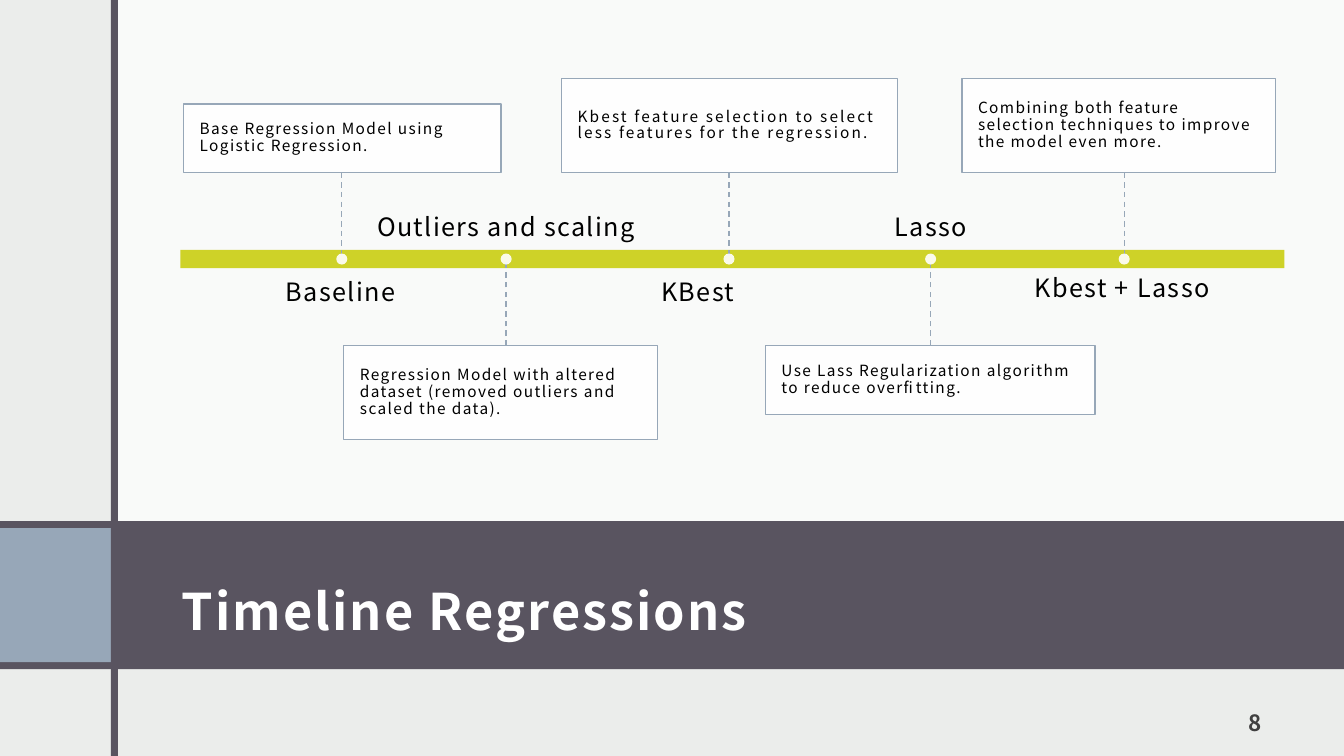
import pptx
import pptx.util
import pptx.dml.color
import pptx.enum.dml
import pptx.enum.shapes
import pptx.enum.text
import pptx.oxml
import pptx.oxml.ns

FONT = "Noto Sans CJK JP"
WHITE, BLACK, PURPLE, BLUE = "FFFFFF", "000000", "595460", "97A7B8"
RECT = pptx.enum.shapes.MSO_SHAPE.RECTANGLE
OVAL = pptx.enum.shapes.MSO_SHAPE.OVAL
LEFT, CENTER, RIGHT = (getattr(pptx.enum.text.PP_ALIGN, name) for name in ("LEFT", "CENTER", "RIGHT"))
TOP, MIDDLE, BOTTOM = (getattr(pptx.enum.text.MSO_ANCHOR, name) for name in ("TOP", "MIDDLE", "BOTTOM"))

AXIS_Y = 257
CARD_BOTTOM_ABOVE = 171
CARD_TOP_BELOW = 343
LABEL_WIDTH, LABEL_HEIGHT = 292, 51
DOT = 11

MILESTONES = [
    dict(x=339, above=True, card=(182, 315, 68), label="Baseline", label_x=338,
         detail="Base Regression Model using Logistic Regression."),
    dict(x=502, above=False, card=(341, 311, 93), label="Outliers and scaling", label_x=502,
         detail="Regression Model with altered dataset (removed outliers and scaled the data)."),
    dict(x=723, above=True, card=(557, 333, 93), label="KBest", label_x=692, detail_tracking=1.5,
         detail="Kbest feature selection to select less features for the regression."),
    dict(x=923, above=False, card=(759, 327, 68), label="Lasso", label_x=923, label_spacing=0.9,
         detail="Use Lass Regularization algorithm to reduce overfitting."),
    dict(x=1115, above=True, card=(954, 311, 93), label="Kbest + Lasso", label_x=1113, label_spacing=0.9,
         detail="Combining both feature selection techniques to improve the model even more."),
]


def px(length):
    return pptx.util.Emu(round(length * 9144))


def rgb(value):
    return pptx.dml.color.RGBColor.from_string(value)


def add_block(slide, kind, box, color, opacity=100, outline=None):
    block = slide.shapes.add_shape(kind, *map(px, box))
    block.shadow.inherit = False
    block.fill.solid()
    block.fill.fore_color.rgb = rgb(color)
    if opacity < 100:
        tint = block.fill._xPr.find(".//" + pptx.oxml.ns.qn("a:srgbClr"))
        alpha = pptx.oxml.parse_xml(f'<a:alpha {pptx.oxml.ns.nsdecls("a")} val="{opacity * 1000}"/>')
        tint.append(alpha)
    if outline:
        block.line.color.rgb = rgb(outline)
        block.line.width = pptx.util.Pt(1)
    else:
        block.line.fill.background()
    return block


def write(shape, text, size, color, align=LEFT, anchor=MIDDLE, insets=(0, 0, 0, 0),
          bold=False, tracking=1.0, spacing=1.0):
    frame = shape.text_frame
    frame.word_wrap = True
    frame.auto_size = pptx.enum.text.MSO_AUTO_SIZE.NONE
    frame.vertical_anchor = anchor
    frame.margin_left, frame.margin_top, frame.margin_right, frame.margin_bottom = map(px, insets)
    frame.text = text
    paragraph = frame.paragraphs[0]
    paragraph.alignment = align
    paragraph.line_spacing = spacing
    paragraph.space_before = paragraph.space_after = pptx.util.Pt(0)
    font = paragraph.font
    font.name = FONT
    font.size = pptx.util.Pt(size)
    font.bold = bold
    font.color.rgb = rgb(color)
    font._element.set("spc", str(round(tracking * 100)))


def add_text(slide, box, text, size, color, **style):
    write(slide.shapes.add_textbox(*map(px, box)), text, size, color, **style)


def add_stem(slide, x, start_y, end_y):
    stem = slide.shapes.add_connector(
        pptx.enum.shapes.MSO_CONNECTOR.STRAIGHT, px(x), px(start_y), px(x), px(end_y))
    stem.line.color.rgb = rgb(BLUE)
    stem.line.width = pptx.util.Pt(1)
    stem.line.dash_style = pptx.enum.dml.MSO_LINE.DASH
    effects = pptx.oxml.parse_xml(f'<a:effectLst {pptx.oxml.ns.nsdecls("a")}/>')
    stem._element.spPr.append(effects)


def add_milestone(slide, x, above, card, label, label_x, detail, detail_tracking=1.0, label_spacing=1.0):
    left, width, height = card
    if above:
        card_top, card_edge = CARD_BOTTOM_ABOVE - height, CARD_BOTTOM_ABOVE
        label_top, label_anchor = 274, TOP
    else:
        card_top = card_edge = CARD_TOP_BELOW
        label_top, label_anchor = 189, BOTTOM
    add_stem(slide, x, card_edge, AXIS_Y)
    detail_card = add_block(slide, RECT, (left, card_top, width, height), WHITE, 90, BLUE)
    write(detail_card, detail, 11, BLACK, insets=(16, 5, 16, 5), tracking=detail_tracking, spacing=0.9)
    add_text(slide, (label_x - LABEL_WIDTH / 2, label_top, LABEL_WIDTH, LABEL_HEIGHT), label, 18, BLACK,
             align=CENTER, anchor=label_anchor, spacing=label_spacing)
    add_block(slide, OVAL, (x - DOT / 2, AXIS_Y - DOT / 2, DOT, DOT), WHITE, 90)


def add_backdrop(slide):
    slide.background.fill.solid()
    slide.background.fill.fore_color.rgb = rgb("EBEDEB")
    add_block(slide, RECT, (114, 0, 1219, 517), WHITE, 75)
    add_block(slide, RECT, (0, 517, 1333, 147), PURPLE)
    add_block(slide, RECT, (0, 524, 110, 133), BLUE)
    add_block(slide, RECT, (110, 0, 7, 750), PURPLE)


def add_title(slide, text):
    title = slide.shapes.title
    title.left, title.top, title.width, title.height = map(px, (168, 533, 1095, 113))
    write(title, text, 36, WHITE, insets=(12, 12, 12, 10), bold=True, tracking=1.5, spacing=1.5)
    slide.shapes._spTree.append(title._element)


def main():
    deck = pptx.Presentation()
    deck.slide_width, deck.slide_height = px(1333), px(750)
    slide = deck.slides.add_slide(deck.slide_layouts[5])
    add_backdrop(slide)
    add_title(slide, "Timeline Regressions")
    add_text(slide, (1156, 690, 107, 50), "8", 16, "404040", align=RIGHT, anchor=BOTTOM,
             insets=(12, 12, 12, 10), bold=True, tracking=1.5)
    add_block(slide, RECT, (179, 248, 1095, 18), "CED228")
    for milestone in MILESTONES:
        add_milestone(slide, **milestone)
    deck.save("out.pptx")


if __name__ == "__main__":
    main()
